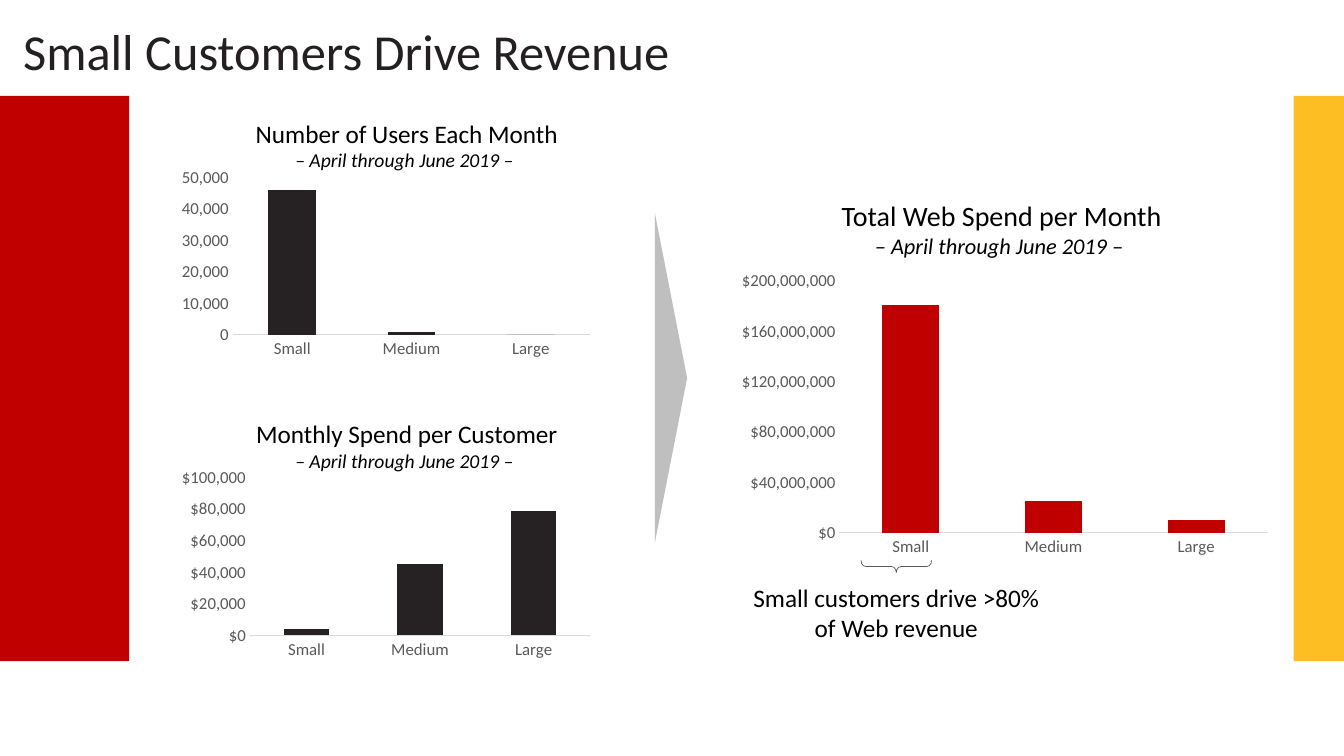
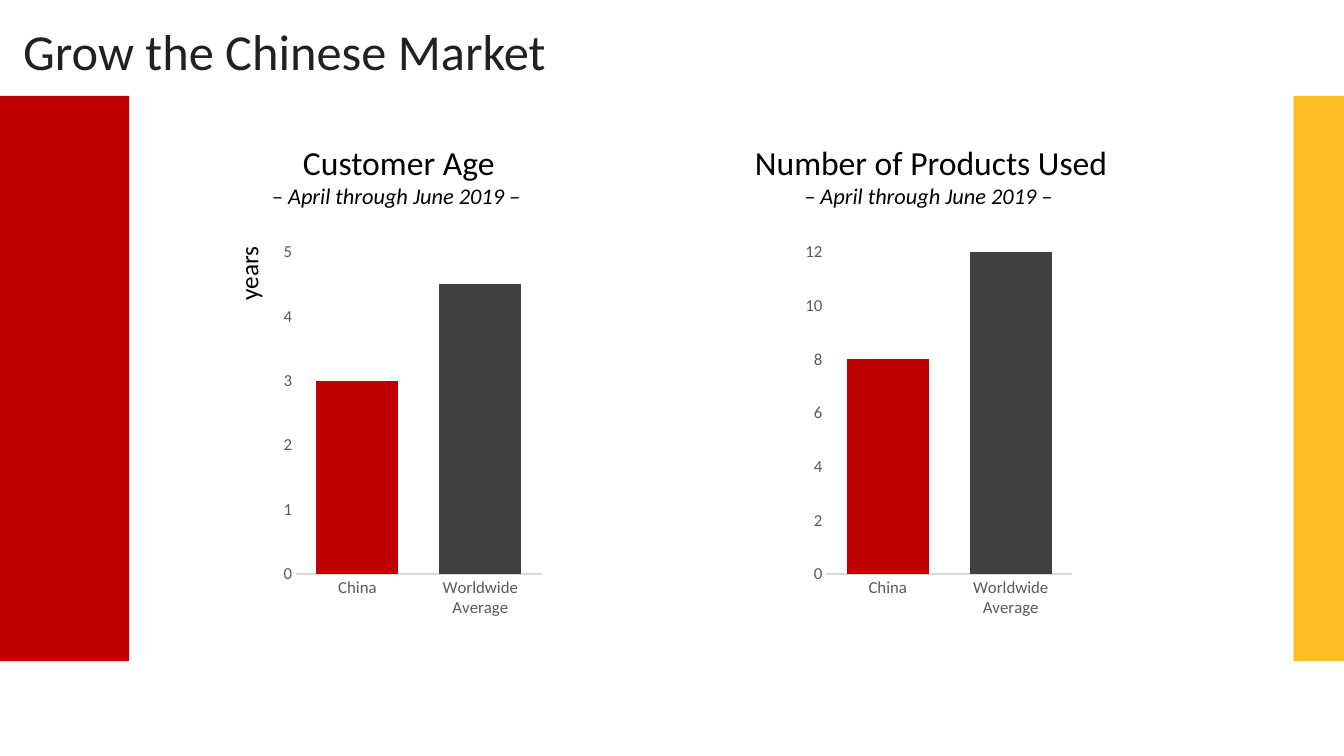
from lxml import etree
from pptx import Presentation
from pptx.chart.data import CategoryChartData
from pptx.dml.color import RGBColor
from pptx.enum.chart import XL_CHART_TYPE as ChartType, XL_TICK_MARK as Tick
from pptx.enum.shapes import MSO_SHAPE as Shape
from pptx.enum.text import MSO_ANCHOR as Anchor, MSO_AUTO_SIZE as AutoSize, PP_ALIGN as Align
from pptx.oxml.ns import qn
from pptx.util import Inches, Pt

FONT = "Calibri"
COLORS = {
    "red": "C00000", "gold": "FDBE24", "title": "242021", "text": "000000",
    "bar": "262223", "average": "404040", "label": "595959",
    "axis": "D9D9D9", "arrow": "BFBFBF",
}
PERIOD = "– April through June 2019 – "
SIZES = ["Small", "Medium", "Large"]
MARKETS = ["China", "Worldwide Average"]
DOLLARS, NUMBER = '"$"#,##0', "#,##0"
MARKET_PLOT = {"x": 0.112, "y": 0.053, "w": 0.865, "h": 0.807}

# Boxes are left, top, width, height in inches
BANDS = [((0, 0.95, 1.28, 5.61), "red"), ((12.83, 0.95, 0.5, 5.61), "gold")]
TITLE_BOX = (0.13, 0.15, 13.2, 0.71)

SLIDES = [
    {
        "title": "Small Customers Drive Revenue",
        "charts": [
            {"heading": "Total Web Spend per Month", "sizes": (20, 16),
             "heading_box": (8.18, 1.92, 3.51, 0.71), "box": (7.25, 2.63, 5.43, 2.95),
             "cats": SIZES, "values": [181000000, 25000000, 10000000],
             "colors": ["red"], "format": DOLLARS, "max": 200000000, "step": 40000000},
            {"heading": "Number of Users Each Month", "sizes": (18, 14),
             "heading_box": (2.28, 1.12, 3.51, 0.64), "box": (1.72, 1.62, 4.22, 1.98),
             "cats": SIZES, "values": [46000, 1000, 0],
             "colors": ["bar"], "format": NUMBER, "max": 50000, "step": 10000},
            {"heading": "Monthly Spend per Customer", "sizes": (18, 14),
             "heading_box": (2.28, 4.1, 3.51, 0.64), "box": (1.72, 4.6, 4.22, 1.98),
             "cats": SIZES, "values": [4000, 45000, 79000],
             "colors": ["bar"], "format": DOLLARS, "max": 100000, "step": 20000},
        ],
    },
    {
        "title": "Grow the Chinese Market",
        "charts": [
            {"heading": "Customer Age", "sizes": (24, 16),
             "heading_box": (2.36, 1.36, 3.19, 0.77), "box": (2.62, 2.29, 2.82, 3.96),
             "cats": MARKETS, "values": [3, 4.5], "colors": ["red", "average"],
             "format": NUMBER, "max": 5, "step": 1, "gap": 50, "plot": MARKET_PLOT},
            {"heading": "Number of Products Used", "sizes": (24, 16),
             "heading_box": (7.27, 1.36, 3.93, 0.77), "box": (7.88, 2.29, 2.82, 3.96),
             "cats": MARKETS, "values": [8, 12], "colors": ["red", "average"],
             "format": NUMBER, "max": 12, "step": 2, "gap": 50, "plot": MARKET_PLOT},
        ],
    },
]


def color(name):
    return RGBColor.from_string(COLORS[name])


def inches(box):
    return [Inches(v) for v in box]


def style_font(font, size, name, italic=None):
    font.name, font.size, font.italic = FONT, Pt(size), italic
    font.color.rgb = color(name)


def add_text(s, box, lines, align=Align.CENTER, rotation=0):
    """Add a text box; each line is (text, size, italic)."""
    sp = s.shapes.add_textbox(*inches(box))
    sp.rotation = rotation
    tf = sp.text_frame
    tf.word_wrap = True
    for i, (text, size, italic) in enumerate(lines):
        p = tf.add_paragraph() if i else tf.paragraphs[0]
        p.alignment = align
        r = p.add_run()
        r.text = text
        style_font(r.font, size, "text", italic)


def add_shape(s, kind, box, fill=None, line=None, rotation=0):
    sp = s.shapes.add_shape(kind, *inches(box))
    sp.shadow.inherit = False
    sp.rotation = rotation
    if fill:
        sp.fill.solid()
        sp.fill.fore_color.rgb = color(fill)
    else:
        sp.fill.background()
    if line:
        sp.line.color.rgb = color(line)
        sp.line.width = Pt(0.5)
    else:
        sp.line.fill.background()
    return sp


def set_plot_layout(chart, plot):
    """Fix the inner plot area at fractions of the chart's size."""
    area = chart.element.find(".//" + qn("c:plotArea"))
    for old in area.findall(qn("c:layout")):
        area.remove(old)
    layout = etree.Element(qn("c:layout"))
    manual = etree.SubElement(layout, qn("c:manualLayout"))
    settings = {"layoutTarget": "inner", "xMode": "edge", "yMode": "edge", **plot}
    for tag, value in settings.items():
        etree.SubElement(manual, qn("c:" + tag)).set("val", str(value))
    area.insert(0, layout)


def add_column_chart(s, item):
    data = CategoryChartData(number_format=item["format"])
    data.categories = item["cats"]
    data.add_series("Series 1", item["values"])
    chart = s.shapes.add_chart(ChartType.COLUMN_STACKED, *inches(item["box"]), data).chart
    chart.has_legend = chart.has_title = False
    style_font(chart.font, 10, "text")

    cat, val = chart.category_axis, chart.value_axis
    for axis in (cat, val):
        axis.major_tick_mark = axis.minor_tick_mark = Tick.NONE
        axis.has_major_gridlines = False
        style_font(axis.tick_labels.font, 12, "label")
    cat.format.line.color.rgb = color("axis")
    cat.format.line.width = Pt(0.75)
    val.format.line.fill.background()
    val.minimum_scale, val.maximum_scale, val.major_unit = 0, item["max"], item["step"]
    val.tick_labels.number_format = item["format"]
    val.tick_labels.number_format_is_linked = False

    plot = chart.plots[0]
    plot.gap_width, plot.overlap, plot.vary_by_categories = item.get("gap", 150), 100, False
    series = plot.series[0]
    first, *others = item["colors"]
    series.format.fill.solid()
    series.format.fill.fore_color.rgb = color(first)
    for i, name in enumerate(others, 1):
        fill = series.points[i].format.fill
        fill.solid()
        fill.fore_color.rgb = color(name)
    if "plot" in item:
        set_plot_layout(chart, item["plot"])

    big, small = item["sizes"]
    add_text(s, item["heading_box"], [(item["heading"], big, None), (PERIOD, small, True)])


def add_slide(prs, content):
    s = prs.slides.add_slide(prs.slide_layouts[5])
    for box, fill in BANDS:
        add_shape(s, Shape.RECTANGLE, box, fill)
    title = s.shapes.title
    title.left, title.top, title.width, title.height = inches(TITLE_BOX)
    tf = title.text_frame
    tf.auto_size, tf.vertical_anchor = AutoSize.NONE, Anchor.TOP
    p = tf.paragraphs[0]
    p.alignment = Align.LEFT
    r = p.add_run()
    r.text = content["title"]
    style_font(r.font, 36, "title")
    for item in content["charts"]:
        add_column_chart(s, item)
    return s


def main():
    prs = Presentation()
    prs.slide_width, prs.slide_height = Inches(13.33), Inches(7.5)
    revenue, market = [add_slide(prs, content) for content in SLIDES]

    add_shape(revenue, Shape.ISOSCELES_TRIANGLE, (5.02, 3.59, 3.27, 0.32), "arrow", rotation=90)
    add_text(revenue, (7.32, 5.73, 3.14, 0.71),
             [("Small customers drive >80% of Web revenue", 18, None)])
    brace = add_shape(revenue, Shape.LEFT_BRACE, (8.83, 5.27, 0.12, 0.7),
                      line="label", rotation=270)
    brace.adjustments[0] = 0.4

    add_text(market, (2.05, 2.46, 0.83, 0.4), [("years", 18, None)], Align.LEFT, rotation=270)
    prs.save("out.pptx")


if __name__ == "__main__":
    main()
